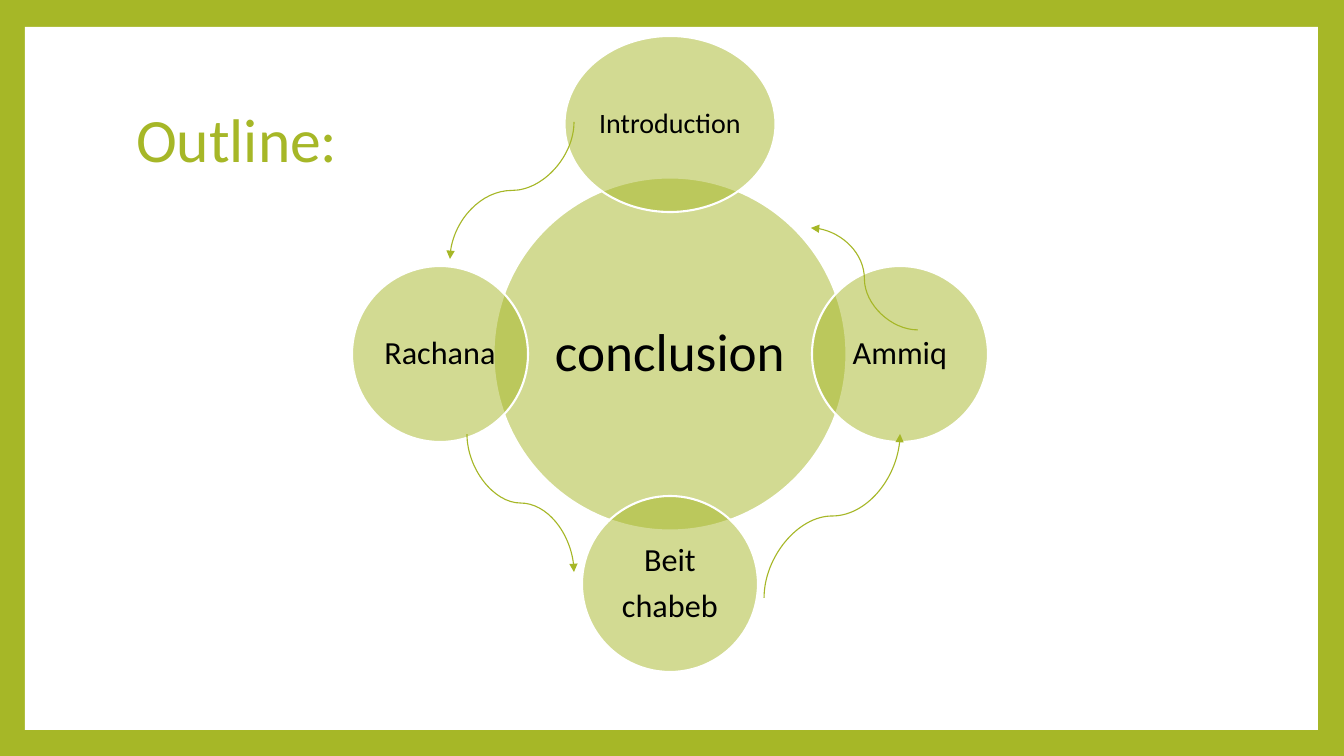
from dataclasses import dataclass

from lxml import etree
from pptx import Presentation
from pptx.dml.color import RGBColor
from pptx.enum.shapes import MSO_CONNECTOR, MSO_SHAPE
from pptx.enum.text import MSO_ANCHOR, MSO_AUTO_SIZE, PP_ALIGN
from pptx.oxml.ns import qn
from pptx.util import Emu, Pt

ELLIPSE = MSO_SHAPE.OVAL
RECTANGLE = MSO_SHAPE.RECTANGLE
CURVE = MSO_CONNECTOR.CURVE
MIDDLE = MSO_ANCHOR.MIDDLE
NO_FIT = MSO_AUTO_SIZE.NONE
LEFT, CENTER = PP_ALIGN.LEFT, PP_ALIGN.CENTER

SLIDE_WIDTH, SLIDE_HEIGHT = 1344, 756
TITLE_ONLY = 5
QUARTER_TURN = 90 * 60000


def px(length):
    return Emu(round(length * 12192000 / SLIDE_WIDTH))


@dataclass(frozen=True)
class Theme:
    font: str = "Calibri"
    accent: RGBColor = RGBColor(0xA6, 0xB7, 0x27)
    paper: RGBColor = RGBColor(0xFF, 0xFF, 0xFF)
    ink: RGBColor = RGBColor(0, 0, 0)
    circle_opacity: int = 50
    title_size: int = 44
    hub_size: int = 38
    introduction_size: int = 20
    place_size: int = 23
    outline_width: float = 1.5
    arrow_width: float = 0.79


def write_text(frame, text, *, font, size, color, align=LEFT, inset=None):
    """Fill the frame with one paragraph per line of text."""
    frame.text = text
    frame.word_wrap = True
    frame.auto_size = NO_FIT
    frame.vertical_anchor = MIDDLE
    if inset is not None:
        frame.margin_left = frame.margin_right = px(inset)
        frame.margin_top = frame.margin_bottom = px(inset)
    for index, paragraph in enumerate(frame.paragraphs):
        paragraph.alignment = align
        paragraph.line_spacing = 0.9
        paragraph.space_before = Pt(round(0.35 * size) if index else 0)
        paragraph.font.name = font
        paragraph.font.size = Pt(size)
        paragraph.font.color.rgb = color


class SlideBuilder:
    def __init__(self, slide, theme):
        self.slide = slide
        self.theme = theme

    def background(self):
        fill = self.slide.background.fill
        fill.solid()
        fill.fore_color.rgb = self.theme.accent

    def panel(self, left, top, width, height):
        """Add the white sheet behind everything else."""
        shapes = self.slide.shapes
        panel = shapes.add_shape(
            RECTANGLE, px(left), px(top), px(width), px(height))
        panel.shadow.inherit = False
        panel.fill.solid()
        panel.fill.fore_color.rgb = self.theme.paper
        panel.line.fill.background()
        shapes.element.insert(2, panel.element)

    def title(self, text, left, top, width, height):
        title = self.slide.shapes.title
        title.left, title.top = px(left), px(top)
        title.width, title.height = px(width), px(height)
        write_text(title.text_frame, text, font=self.theme.font,
                   size=self.theme.title_size, color=self.theme.accent)

    def circle(self, text, center_x, center_y, width, height, size, inset=3):
        theme = self.theme
        circle = self.slide.shapes.add_shape(
            ELLIPSE, px(center_x - width / 2), px(center_y - height / 2),
            px(width), px(height))
        circle.shadow.inherit = False
        circle.fill.solid()
        circle.fill.fore_color.rgb = theme.accent
        color = circle.element.spPr.find(qn("a:solidFill"))[0]
        etree.SubElement(color, qn("a:alpha"), val=str(theme.circle_opacity * 1000))
        circle.line.color.rgb = theme.paper
        circle.line.width = Pt(theme.outline_width)
        write_text(circle.text_frame, text, font=theme.font, size=size,
                   color=theme.ink, align=CENTER, inset=inset)

    def curved_arrow(self, begin, end, leaves_vertically=True):
        """A curve leaving vertically is a level one given a quarter turn."""
        middle_x = (begin[0] + end[0]) / 2
        middle_y = (begin[1] + end[1]) / 2
        points = [begin, end]
        if leaves_vertically:
            points = [(middle_x + y - middle_y, middle_y - x + middle_x)
                      for x, y in points]
        (begin_x, begin_y), (end_x, end_y) = points
        arrow = self.slide.shapes.add_connector(
            CURVE, px(begin_x), px(begin_y), px(end_x), px(end_y))
        arrow.line.color.rgb = self.theme.accent
        arrow.line.width = Pt(self.theme.arrow_width)
        properties = arrow.element.spPr
        if leaves_vertically:
            properties.find(qn("a:xfrm")).set("rot", str(QUARTER_TURN))
        etree.SubElement(properties.find(qn("a:ln")), qn("a:tailEnd"), type="triangle")
        etree.SubElement(properties, qn("a:effectLst"))


def main():
    presentation = Presentation()
    presentation.slide_width = px(SLIDE_WIDTH)
    presentation.slide_height = px(SLIDE_HEIGHT)
    slide = presentation.slides.add_slide(presentation.slide_layouts[TITLE_ONLY])
    theme = Theme()
    builder = SlideBuilder(slide, theme)

    builder.background()
    builder.panel(25, 27, 1293, 703)
    builder.title("Outline:", 126, 68, 1089, 149)

    hub_x, hub_y, orbit = 670, 354, 230
    hub, satellite = 353, 176
    builder.circle("conclusion", hub_x, hub_y, hub, hub, theme.hub_size, inset=5)
    for text, step_x, step_y, width, size in (
        ("Introduction", 0, -1, 211, theme.introduction_size),
        ("Ammiq", 1, 0, satellite, theme.place_size),
        ("Beit\nchabeb", 0, 1, satellite, theme.place_size),
        ("Rachana", -1, 0, satellite, theme.place_size),
    ):
        builder.circle(text, hub_x + step_x * orbit, hub_y + step_y * orbit,
                       width, satellite, size)

    builder.curved_arrow((574, 122), (450, 259))
    builder.curved_arrow((467, 434), (574, 572))
    builder.curved_arrow((764, 598), (900, 434))
    builder.curved_arrow((918, 330), (811, 228), leaves_vertically=False)

    presentation.save("out.pptx")


if __name__ == "__main__":
    main()
